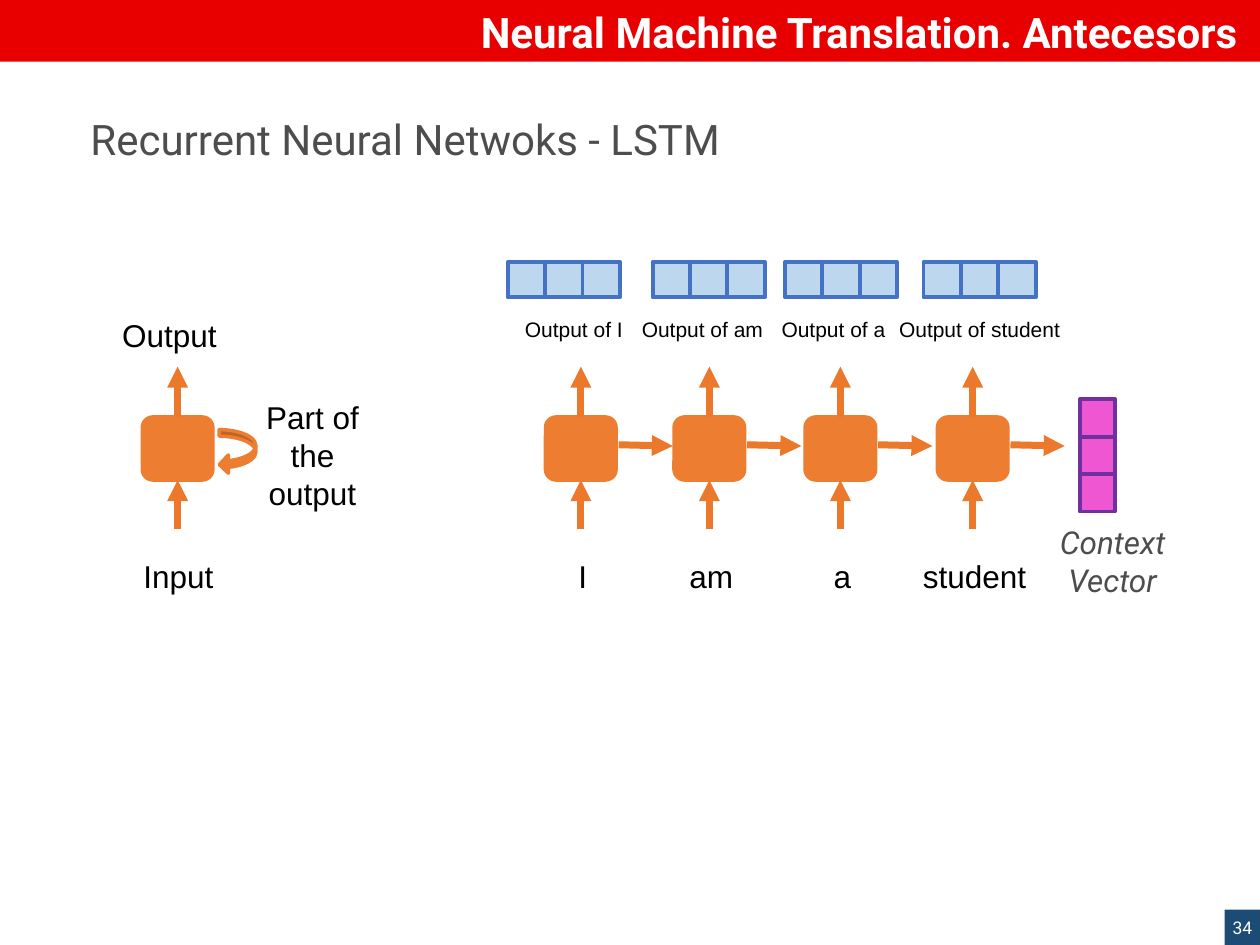
"""Build a slide that unrolls an LSTM from a single cell into a sentence encoder."""
import pptx
import pptx.dml.color
import pptx.enum.shapes
import pptx.enum.text
import pptx.oxml.ns
import pptx.util
from lxml import etree

RED = pptx.dml.color.RGBColor(0xE8, 0x00, 0x00)
WHITE = pptx.dml.color.RGBColor(0xFF, 0xFF, 0xFF)
BLACK = pptx.dml.color.RGBColor(0x00, 0x00, 0x00)
GREY = pptx.dml.color.RGBColor(0x4D, 0x4D, 0x4D)
NAVY = pptx.dml.color.RGBColor(0x1C, 0x4C, 0x76)
ORANGE = pptx.dml.color.RGBColor(0xED, 0x7D, 0x31)
ARROW_ORANGE = pptx.dml.color.RGBColor(0xEC, 0x79, 0x2B)
LIGHT_BLUE = pptx.dml.color.RGBColor(0xBD, 0xD7, 0xEE)
BLUE = pptx.dml.color.RGBColor(0x44, 0x72, 0xC4)
PINK = pptx.dml.color.RGBColor(0xEF, 0x57, 0xD2)
PURPLE = pptx.dml.color.RGBColor(0x70, 0x30, 0xA0)

SHAPE = pptx.enum.shapes.MSO_SHAPE
ALIGN = pptx.enum.text.PP_ALIGN
ANCHOR = pptx.enum.text.MSO_ANCHOR

presentation = pptx.Presentation()
presentation.slide_width = pptx.util.Inches(10)
presentation.slide_height = pptx.util.Inches(7.5)
slide = presentation.slides.add_slide(presentation.slide_layouts[6])
COLUMN = presentation.slide_width / 100
ROW = presentation.slide_height / 75


def add_block(kind, left, top, width, height, fill, line=None, weight=2):
    shape = slide.shapes.add_shape(
        kind, int(left * COLUMN), int(top * ROW), int(width * COLUMN), int(height * ROW))
    shape.shadow.inherit = False
    shape.fill.solid()
    shape.fill.fore_color.rgb = fill
    if line is None:
        shape.line.fill.background()
    else:
        shape.line.color.rgb = line
        shape.line.width = pptx.util.Pt(weight)
    return shape


def write_text(text, left, top, width, height, size=18, font="Arial", color=BLACK, bold=False,
               italic=False, align=ALIGN.CENTER, anchor=ANCHOR.TOP, before=0, margin=None):
    box = slide.shapes.add_textbox(
        int(left * COLUMN), int(top * ROW), int(width * COLUMN), int(height * ROW))
    frame = box.text_frame
    frame.word_wrap = True
    frame.vertical_anchor = anchor
    if margin is not None:
        frame.margin_left = frame.margin_right = int(margin * COLUMN)
        frame.margin_top = frame.margin_bottom = int(margin * ROW)
    paragraph = frame.paragraphs[0]
    paragraph.alignment = align
    paragraph.space_before = pptx.util.Pt(before)
    run = paragraph.add_run()
    run.text = text
    run.font.name = font
    run.font.size = pptx.util.Pt(size)
    run.font.color.rgb = color
    run.font.bold = bold
    run.font.italic = italic


add_block(SHAPE.RECTANGLE, 0, -0.1, 100, 5, RED)
write_text("Neural Machine Translation. Antecesors", 14.2, 0.9, 85, 3.3, size=24, font="Roboto",
           color=WHITE, bold=True, align=ALIGN.RIGHT, anchor=ANCHOR.MIDDLE)
add_block(SHAPE.RECTANGLE, 97.2, 72.2, 2.8, 2.8, NAVY)
write_text("34", 97.2, 72.2, 2.8, 2.8, size=10, font="Roboto", color=WHITE,
           anchor=ANCHOR.MIDDLE, margin=0.4)
write_text("Recurrent Neural Netwoks - LSTM", 6.2, 8.5, 75.3, 5.6, size=24, font="Roboto",
           color=GREY, align=ALIGN.LEFT, before=2)

CELL_CENTERS = [14.1, 46.1, 56.3, 66.7, 77.2]
CELL_TOP, CELL_WIDTH, CELL_HEIGHT = 33.1, 5.6, 5
arrows = []
for center in CELL_CENTERS:
    add_block(SHAPE.ROUNDED_RECTANGLE, center - CELL_WIDTH / 2, CELL_TOP,
              CELL_WIDTH, CELL_HEIGHT, ORANGE, ORANGE)
    arrows.append((center, 42, center, CELL_TOP + CELL_HEIGHT))
    arrows.append((center, CELL_TOP, center, 29.1))
for center in CELL_CENTERS[1:]:
    arrows.append((center + 3, 35.3, center + 7.3, 35.4))

for start_x, start_y, end_x, end_y in arrows:
    connector = slide.shapes.add_connector(
        pptx.enum.shapes.MSO_CONNECTOR.STRAIGHT, int(start_x * COLUMN), int(start_y * ROW),
        int(end_x * COLUMN), int(end_y * ROW))
    connector.line.color.rgb = ARROW_ORANGE
    connector.line.width = pptx.util.Pt(4)
    etree.SubElement(connector.line._get_or_add_ln(), pptx.oxml.ns.qn("a:tailEnd"), type="triangle")
    etree.SubElement(connector._element.spPr, pptx.oxml.ns.qn("a:effectLst"))

loop_arrow = add_block(SHAPE.CURVED_LEFT_ARROW, 17.4, 34.1, 2.9, 3.5, ORANGE, ORANGE)
for index, value in enumerate((0.18, 0.5, 0.25)):
    loop_arrow.adjustments[index] = value
write_text("Input", 6.9, 43.7, 14.5, 4.1)
write_text("Output", 6.2, 24.6, 14.5, 4.1)
write_text("Part of the output", 18.5, 31.1, 12.6, 10.1)

VECTOR_LENGTH, VECTOR_DEPTH = 8.9, 2.8
VECTOR_CELL = VECTOR_LENGTH / 3
words = ["I", "am", "a", "student"]
vector_lefts = [40.3, 51.8, 62.3, 73.3]
output_widths = [14.5, 14.5, 14.5, 16.7]
for word, center, vector_left, output_width in zip(
        words, CELL_CENTERS[1:], vector_lefts, output_widths):
    write_text(word, center - 7.1, 43.7, 14.5, 4.1)
    write_text(f"Output of {word}", center - 7.8, 24.6, output_width, 3, size=12)
    for cell in range(3):
        add_block(SHAPE.RECTANGLE, vector_left + cell * VECTOR_CELL, 20.8,
                  VECTOR_CELL, VECTOR_DEPTH, LIGHT_BLUE, BLUE, 2.25)

for cell in range(3):
    add_block(SHAPE.RECTANGLE, 85.7, 31.7 + cell * VECTOR_CELL,
              VECTOR_DEPTH, VECTOR_CELL, PINK, PURPLE, 2.25)
write_text("Context Vector", 79.9, 41, 16.8, 5.9, font="Roboto", color=GREY, italic=True, before=2)

presentation.save("out.pptx")
